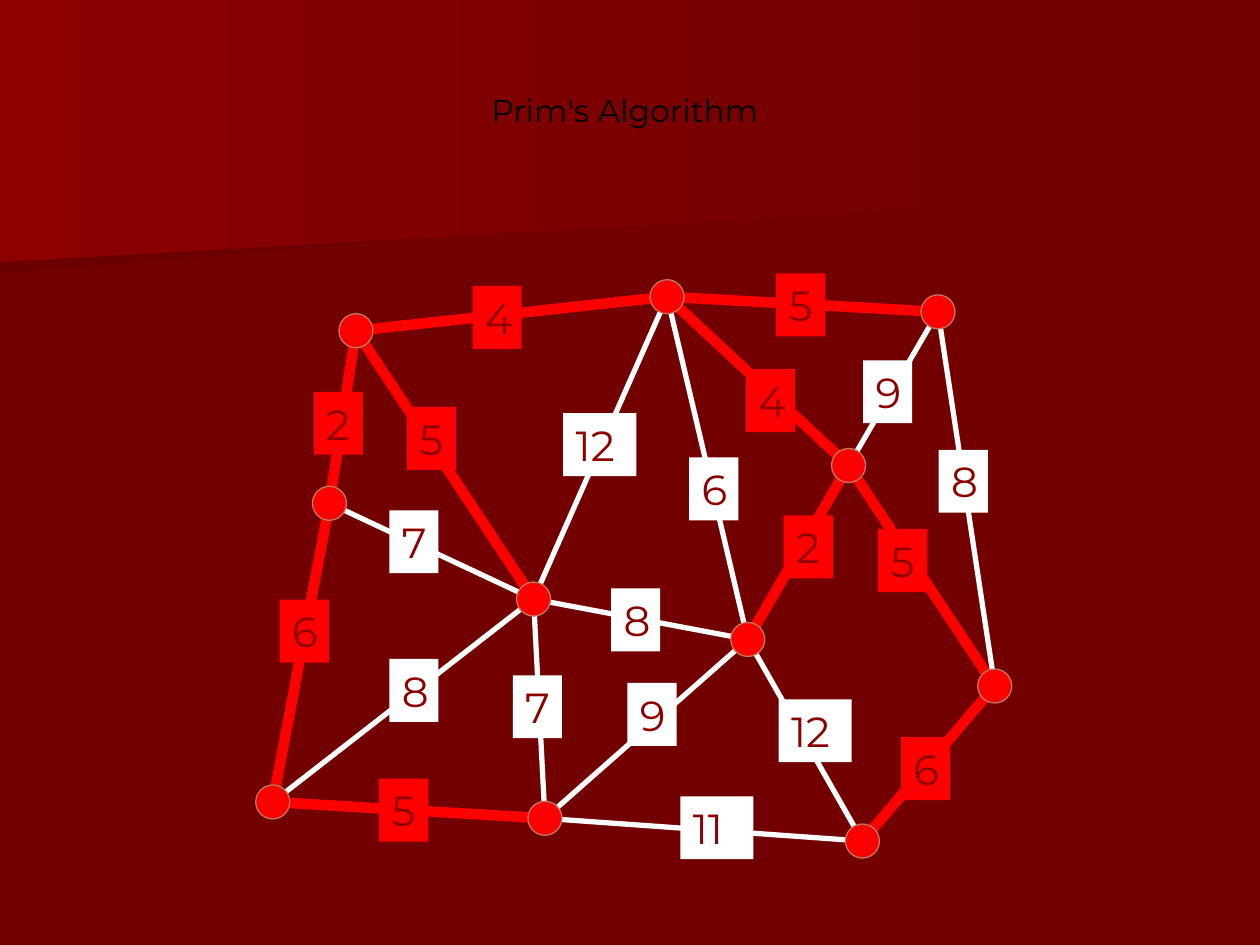
"""Build a slide of a weighted graph with its minimum spanning tree by Prim's algorithm."""
from typing import NamedTuple

from lxml.etree import SubElement
from pptx import Presentation
from pptx.dml.color import RGBColor
from pptx.enum.shapes import MSO_CONNECTOR, MSO_SHAPE
from pptx.enum.text import MSO_ANCHOR, MSO_AUTO_SIZE, PP_ALIGN
from pptx.oxml.ns import qn
from pptx.slide import Slide
from pptx.util import Inches, Pt

BACKGROUND = RGBColor(0x72, 0x00, 0x00)
BAND_SHADE = RGBColor(0x6B, 0x00, 0x00)
DARK_RED = RGBColor(0x8C, 0x00, 0x00)
TREE_RED = RGBColor(0xFF, 0x00, 0x00)
NODE_OUTLINE = RGBColor(0xBE, 0x79, 0x60)
WHITE = RGBColor(0xFF, 0xFF, 0xFF)
BLACK = RGBColor(0x00, 0x00, 0x00)
FONT = "Montserrat"
NODE_SIZE = 0.27
LABEL_HEIGHT = 0.5


class Band(NamedTuple):
    color: RGBColor
    points: list[tuple[float, float]]


class Node(NamedTuple):
    left: float
    top: float

    @property
    def center(self) -> tuple[int, int]:
        return Inches(self.left + NODE_SIZE / 2), Inches(self.top + NODE_SIZE / 2)


class Edge(NamedTuple):
    start: str
    end: str
    weight: int
    label_left: float
    label_top: float
    in_tree: bool = False

    @property
    def color(self) -> RGBColor:
        return TREE_RED if self.in_tree else WHITE


BANDS = [
    Band(BAND_SHADE, [(7.78, 1.53), (0, 2.17), (0, 1.01), (7.79, 1.01)]),
    Band(DARK_RED, [(7.92, 1.62), (0, 2.08), (0, 0), (7.92, 0)]),
]

NODES = {
    "A": Node(2.69, 2.49),
    "B": Node(5.16, 2.22),
    "C": Node(7.31, 2.34),
    "D": Node(2.48, 3.86),
    "E": Node(6.6, 3.56),
    "F": Node(4.1, 4.62),
    "G": Node(5.8, 4.94),
    "H": Node(7.76, 5.31),
    "I": Node(2.03, 6.23),
    "J": Node(4.19, 6.36),
    "K": Node(6.71, 6.54),
}

EDGES = [
    Edge("J", "F", 7, 4.07, 5.36),
    Edge("G", "E", 2, 6.22, 4.09, True),
    Edge("I", "D", 6, 2.22, 4.76, True),
    Edge("F", "A", 5, 3.23, 3.23, True),
    Edge("K", "G", 12, 6.18, 5.55),
    Edge("C", "B", 5, 6.16, 2.17, True),
    Edge("H", "E", 5, 6.97, 4.2, True),
    Edge("J", "K", 11, 5.4, 6.32),
    Edge("J", "G", 9, 4.98, 5.42),
    Edge("F", "D", 7, 3.09, 4.05),
    Edge("D", "A", 2, 2.49, 3.11, True),
    Edge("K", "H", 6, 7.15, 5.85, True),
    Edge("B", "F", 12, 4.47, 3.28),
    Edge("I", "J", 5, 3.01, 6.18, True),
    Edge("G", "F", 8, 4.85, 4.67),
    Edge("E", "B", 4, 5.92, 2.93, True),
    Edge("E", "C", 9, 6.85, 2.86),
    Edge("A", "B", 4, 3.75, 2.27, True),
    Edge("I", "F", 8, 3.09, 5.23),
    Edge("G", "B", 6, 5.47, 3.63),
    Edge("H", "C", 8, 7.45, 3.57),
]


def draw_band(slide: Slide, band: Band) -> None:
    start, *others = [(Inches(x), Inches(y)) for x, y in band.points]
    builder = slide.shapes.build_freeform(*start)
    builder.add_line_segments(others, close=True)
    shape = builder.convert_to_shape()
    shape.shadow.inherit = False
    shape.line.fill.background()
    shape.fill.gradient()
    shape.fill.gradient_angle = 0
    for stop, color, position in zip(shape.fill.gradient_stops, (band.color, BACKGROUND), (0, 1)):
        stop.color.rgb = color
        stop.position = position


def draw_edge(slide: Slide, edge: Edge) -> None:
    line = slide.shapes.add_connector(
        MSO_CONNECTOR.STRAIGHT, *NODES[edge.start].center, *NODES[edge.end].center
    )
    line.line.color.rgb = edge.color
    line.line.width = Pt(6 if edge.in_tree else 3)
    SubElement(line.element.spPr, qn("a:effectLst"))


def draw_node(slide: Slide, node: Node) -> None:
    size = Inches(NODE_SIZE)
    circle = slide.shapes.add_shape(
        MSO_SHAPE.OVAL, Inches(node.left), Inches(node.top), size, size
    )
    circle.shadow.inherit = False
    circle.fill.solid()
    circle.fill.fore_color.rgb = TREE_RED
    circle.line.color.rgb = NODE_OUTLINE
    circle.line.width = Pt(0.75)


def draw_weight(slide: Slide, edge: Edge) -> None:
    width = 0.39 if edge.weight < 10 else 0.58
    box = slide.shapes.add_shape(
        MSO_SHAPE.RECTANGLE, Inches(edge.label_left), Inches(edge.label_top),
        Inches(width), Inches(LABEL_HEIGHT)
    )
    box.shadow.inherit = False
    box.fill.solid()
    box.fill.fore_color.rgb = edge.color
    box.line.fill.background()
    frame = box.text_frame
    frame.margin_right = 0
    frame.vertical_anchor = MSO_ANCHOR.TOP
    frame.text = str(edge.weight)
    paragraph = frame.paragraphs[0]
    paragraph.alignment = PP_ALIGN.LEFT
    paragraph.font.name = FONT
    paragraph.font.size = Pt(24)
    paragraph.font.color.rgb = DARK_RED


def set_title(slide: Slide, text: str) -> None:
    title = slide.shapes.title
    title.left, title.top = Inches(3.42), Inches(0.67)
    title.width, title.height = Inches(3.08), Inches(0.58)
    frame = title.text_frame
    frame.text = text
    frame.word_wrap = True
    frame.auto_size = MSO_AUTO_SIZE.NONE
    frame.vertical_anchor = MSO_ANCHOR.TOP
    paragraph = frame.paragraphs[0]
    paragraph.alignment = PP_ALIGN.CENTER
    paragraph.font.name = FONT
    paragraph.font.size = Pt(18)
    paragraph.font.color.rgb = BLACK
    slide.shapes.element.append(title.element)


def main() -> None:
    deck = Presentation()
    deck.slide_width, deck.slide_height = Inches(10), Inches(7.5)
    slide = deck.slides.add_slide(deck.slide_layouts.get_by_name("Title Only"))
    slide.background.fill.solid()
    slide.background.fill.fore_color.rgb = BACKGROUND
    for band in BANDS:
        draw_band(slide, band)
    for edge in EDGES:
        draw_edge(slide, edge)
    for node in NODES.values():
        draw_node(slide, node)
    for edge in EDGES:
        draw_weight(slide, edge)
    set_title(slide, "Prim's Algorithm")
    deck.save("out.pptx")


if __name__ == "__main__":
    main()
